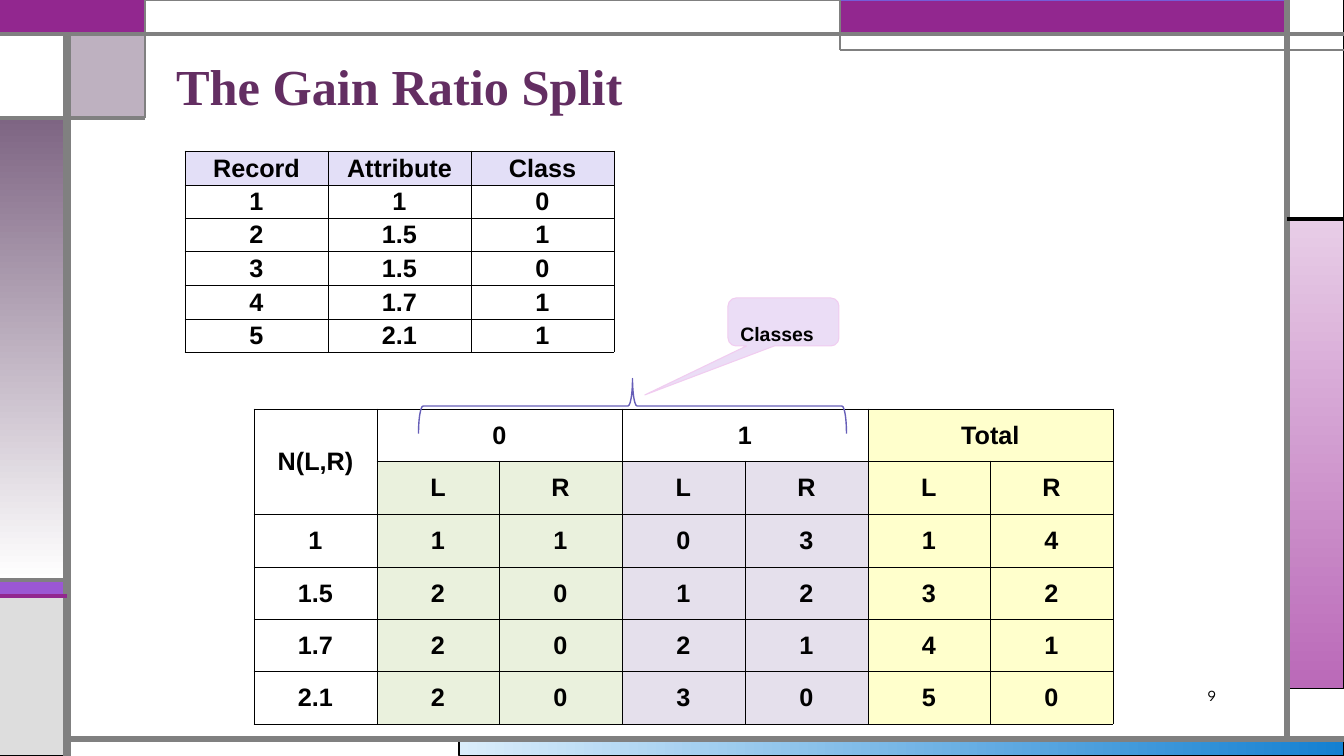
from lxml import etree
from pptx import Presentation
from pptx.dml import color
from pptx.enum import shapes, text
from pptx.oxml import ns
from pptx import util as u

PX = u.Inches(1) / 100.8
WIDTH, HEIGHT = 1344, 756
BLACK, WHITE, GREY, PURPLE = "000000", "FFFFFF", "808080", "92278F"
GREEN, LILAC, YELLOW = "EAF1DD", "E5E0EC", "FFFFCC"


def px(*lengths):
    return [u.Emu(round(length * PX)) for length in lengths]


def rgb(value):
    return color.RGBColor.from_string(value)


def add_element(parent, tag, **attributes):
    return etree.SubElement(parent, ns.qn(tag), attributes)


def shares(total, count):
    """Split a length into whole-pixel parts that add up to the total."""
    edges = [round(total * i / count) for i in range(count + 1)]
    return px(*(end - start for start, end in zip(edges, edges[1:])))


class Slide:
    heading_font, body_font, number_font = "Times New Roman", "Arial", "League Spartan"

    def __init__(self, deck):
        self.page = deck.slides.add_slide(deck.slide_layouts[5])

    def add_words(self, frame, words, size, font, ink=BLACK, bold=True, align=None):
        para = frame.paragraphs[0]
        para.alignment = align
        span = para.add_run()
        span.text = words
        span.font.size, span.font.name, span.font.bold = u.Pt(size), font, bold
        span.font.color.rgb = rgb(ink)
        return span

    def title(self, words, *place):
        box = self.page.shapes.title
        box.left, box.top, box.width, box.height = px(*place)
        frame = box.text_frame
        frame.auto_size = text.MSO_AUTO_SIZE.NONE
        frame.vertical_anchor = text.MSO_ANCHOR.BOTTOM
        self.add_words(frame, words, 36, self.heading_font, "632E62", align=text.PP_ALIGN.LEFT)
        frame.paragraphs[0].line_spacing = 0.9

    def page_number(self, words, *place):
        frame = self.page.shapes.add_textbox(*px(*place)).text_frame
        frame.word_wrap = True
        frame.vertical_anchor = text.MSO_ANCHOR.MIDDLE
        self.add_words(frame, words, 11, self.number_font, bold=False, align=text.PP_ALIGN.RIGHT)

    def shape(self, kind, place, fill=None, line=BLACK, weight=0.75, alpha=None):
        box = self.page.shapes.add_shape(kind, *px(*place))
        box.shadow.inherit = False
        box.line.color.rgb, box.line.width = rgb(line), u.Pt(weight)
        if fill is None:
            box.fill.background()
        else:
            box.fill.solid()
            box.fill.fore_color.rgb = rgb(fill)
        if alpha:
            tint = box._element.spPr.find(ns.qn("a:solidFill")).find(ns.qn("a:srgbClr"))
            add_element(tint, "a:alpha", val=str(alpha * 1000))
        return box

    def gradient(self, place, start, end, angle):
        box = self.shape(shapes.MSO_SHAPE.RECTANGLE, place)
        box.fill.gradient()
        box.fill.gradient_angle = angle
        for stop, shade in zip(box.fill.gradient_stops, (start, end)):
            stop.color.rgb = rgb(shade)

    def line(self, ends, weight, ink=GREY):
        rule = self.page.shapes.add_connector(shapes.MSO_CONNECTOR.STRAIGHT, *px(*ends))
        rule.line.color.rgb, rule.line.width = rgb(ink), u.Pt(weight)
        add_element(rule._element.spPr, "a:effectLst")

    def callout(self, words, place, adjustments):
        box = self.shape(shapes.MSO_SHAPE.ROUNDED_RECTANGULAR_CALLOUT, place, "EBDDF6", "F1CCF0")
        for i, value in enumerate(adjustments):
            box.adjustments[i] = value
        box.text_frame.vertical_anchor = text.MSO_ANCHOR.MIDDLE
        span = self.add_words(box.text_frame, words, 24, self.body_font, align=text.PP_ALIGN.LEFT)
        span.font._element.set("baseline", "-25000")

    def table(self, place, rows, fill_of, merges=()):
        grid = self.page.shapes.add_table(len(rows), len(rows[0]), *px(*place)).table
        grid.first_row = grid.horz_banding = False
        for column, width in zip(grid.columns, shares(place[2], len(rows[0]))):
            column.width = width
        for row, height in zip(grid.rows, shares(place[3], len(rows))):
            row.height = height
        for r, row in enumerate(rows):
            for c, words in enumerate(row):
                self.cell(grid.cell(r, c), words, fill_of(r, c))
        for first, last in merges:
            grid.cell(*first).merge(grid.cell(*last))

    def cell(self, cell, words, fill):
        cell.margin_left, cell.margin_right, cell.margin_top, cell.margin_bottom = px(1, 1, 1, 0)
        cell.vertical_anchor = text.MSO_ANCHOR.MIDDLE
        if words:
            self.add_words(cell.text_frame, words, 18, self.body_font, align=text.PP_ALIGN.CENTER)
        # Borders come before the fill in the cell properties
        properties = cell._tc.get_or_add_tcPr()
        for side in "LRTB":
            border = add_element(properties, "a:ln" + side, w=str(u.Pt(0.5)))
            add_element(add_element(border, "a:solidFill"), "a:srgbClr", val=BLACK)
        if fill:
            cell.fill.solid()
            cell.fill.fore_color.rgb = rgb(fill)
        else:
            cell.fill.background()


def draw_frame(slide):
    # Gradient and plain panels along the edges
    slide.gradient((459, 739, 885, 17), "DAEDFB", "1480D1", 0)
    slide.gradient((1287, 219, 57, 470), "E8CDE7", "BA69B8", 270)
    slide.gradient((0, 118, 67, 462), "7E6583", WHITE, 270)
    for place, fill, line, weight, alpha in (
        ((0, 580, 67, 16), "9B57D3", BLACK, 0.75, None),
        ((0, 596, 67, 160), "DDDDDD", BLACK, 0.75, None),
        ((1287, 0, 57, 219), WHITE, BLACK, 0.75, None),
        ((840, 0, 447, 34), PURPLE, "755DD9", 0.75, None),
        ((67, 34, 78, 84), "7E6583", BLACK, 0.75, 50),
        ((0, 34, 67, 84), WHITE, BLACK, 0.75, None),
        ((0, 0, 145, 34), PURPLE, PURPLE, 1.5, None),
        ((145, 0, 695, 34), WHITE, GREY, 0.75, None),
    ):
        slide.shape(shapes.MSO_SHAPE.RECTANGLE, place, fill, line, weight, alpha)

    # Rules between the panels
    for ends, weight, ink in (
        ((67, HEIGHT, 67, 34), 6, GREY),
        ((67, 739, WIDTH, 739), 4.5, GREY),
        ((1287, 739, 1287, 0), 4.5, GREY),
        ((0, 34, WIDTH, 34), 3, GREY),
        ((WIDTH, 50, 840, 50), 1.5, GREY),
        ((840, 50, 840, 0), 1.5, GREY),
        ((1287, 219, WIDTH, 219), 2.25, BLACK),
        ((145, 0, 145, 118), 1.5, GREY),
        ((145, 118, 0, 118), 2.25, GREY),
        ((67, 580, 0, 580), 2.25, GREY),
        ((67, 596, 0, 596), 2.25, PURPLE),
    ):
        slide.line(ends, weight, ink)


def count_fill(row, column):
    if row == 0 and column < 5:
        return None
    return (None, GREEN, GREEN, LILAC, LILAC, YELLOW, YELLOW)[column]


def main():
    deck = Presentation()
    deck.slide_width, deck.slide_height = px(WIDTH, HEIGHT)
    slide = Slide(deck)
    draw_frame(slide)
    slide.title("The Gain Ratio Split", 166, 37, 1058, 84)
    slide.page_number("9", 1117, 680, 109, 30)

    # Records
    records = [
        ("Record", "Attribute", "Class"),
        ("1", "1", "0"),
        ("2", "1.5", "1"),
        ("3", "1.5", "0"),
        ("4", "1.7", "1"),
        ("5", "2.1", "1"),
    ]
    slide.table((185, 151, 429, 201), records, lambda row, column: None if row else "E3DFF7")

    # Left and right counts for each split value
    counts = [
        ("N(L,R)", "0", "", "1", "", "Total", ""),
        ("",) + ("L", "R") * 3,
        ("1", "1", "1", "0", "3", "1", "4"),
        ("1.5", "2", "0", "1", "2", "3", "2"),
        ("1.7", "2", "0", "2", "1", "4", "1"),
        ("2.1", "2", "0", "3", "0", "5", "0"),
    ]
    merges = [((0, 0), (1, 0))] + [((0, c), (0, c + 1)) for c in (1, 3, 5)]
    slide.table((254, 409, 859, 315), counts, count_fill, merges)

    # Brace and callout over the class columns
    brace = slide.shape(shapes.MSO_SHAPE.RIGHT_BRACE, (605, 192, 55, 428), None, "665EB8", 1)
    brace.rotation = 270
    slide.callout("Classes", (728, 298, 111, 48), (-1.25, 1.52, 0.17))

    deck.save("out.pptx")


if __name__ == "__main__":
    main()
